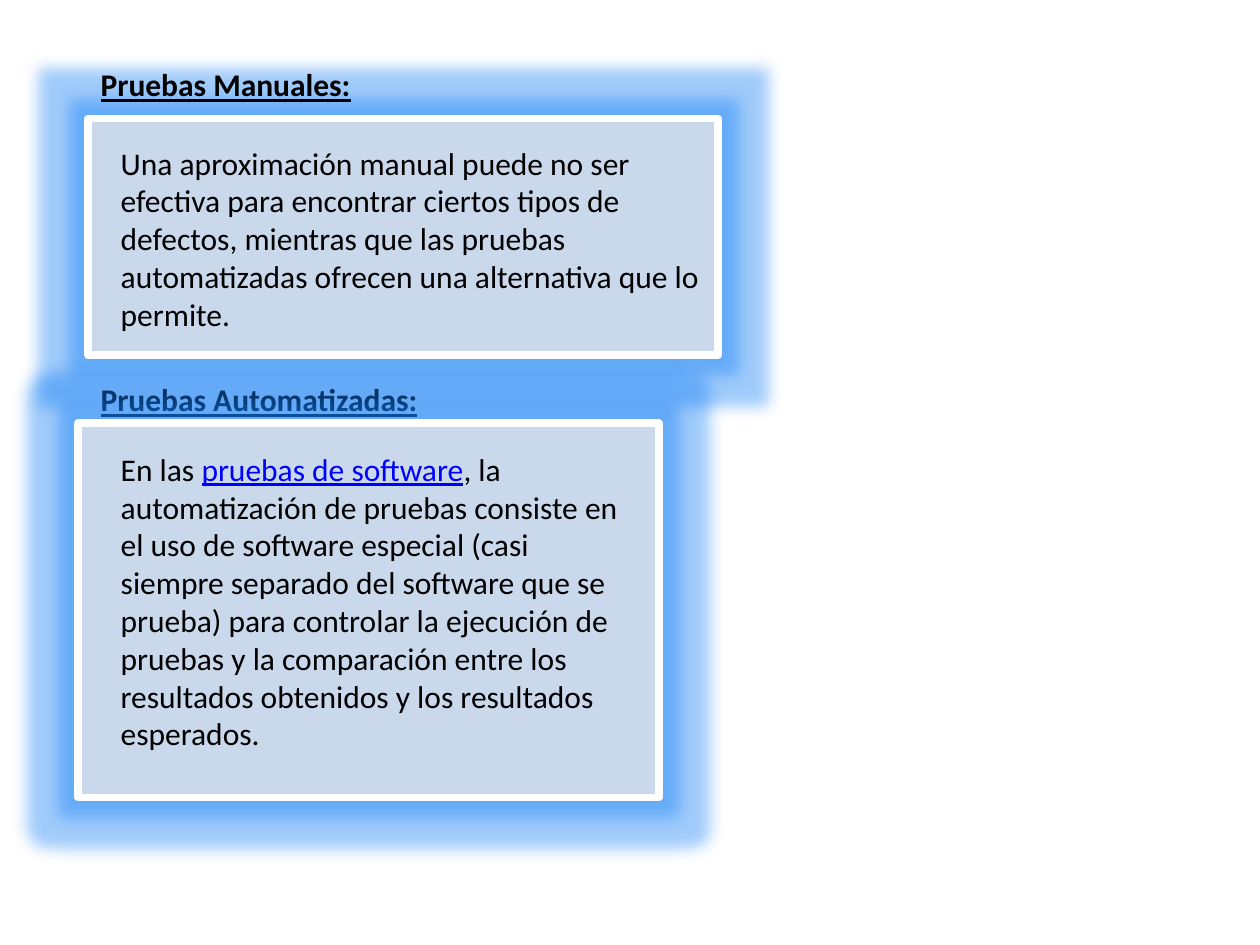
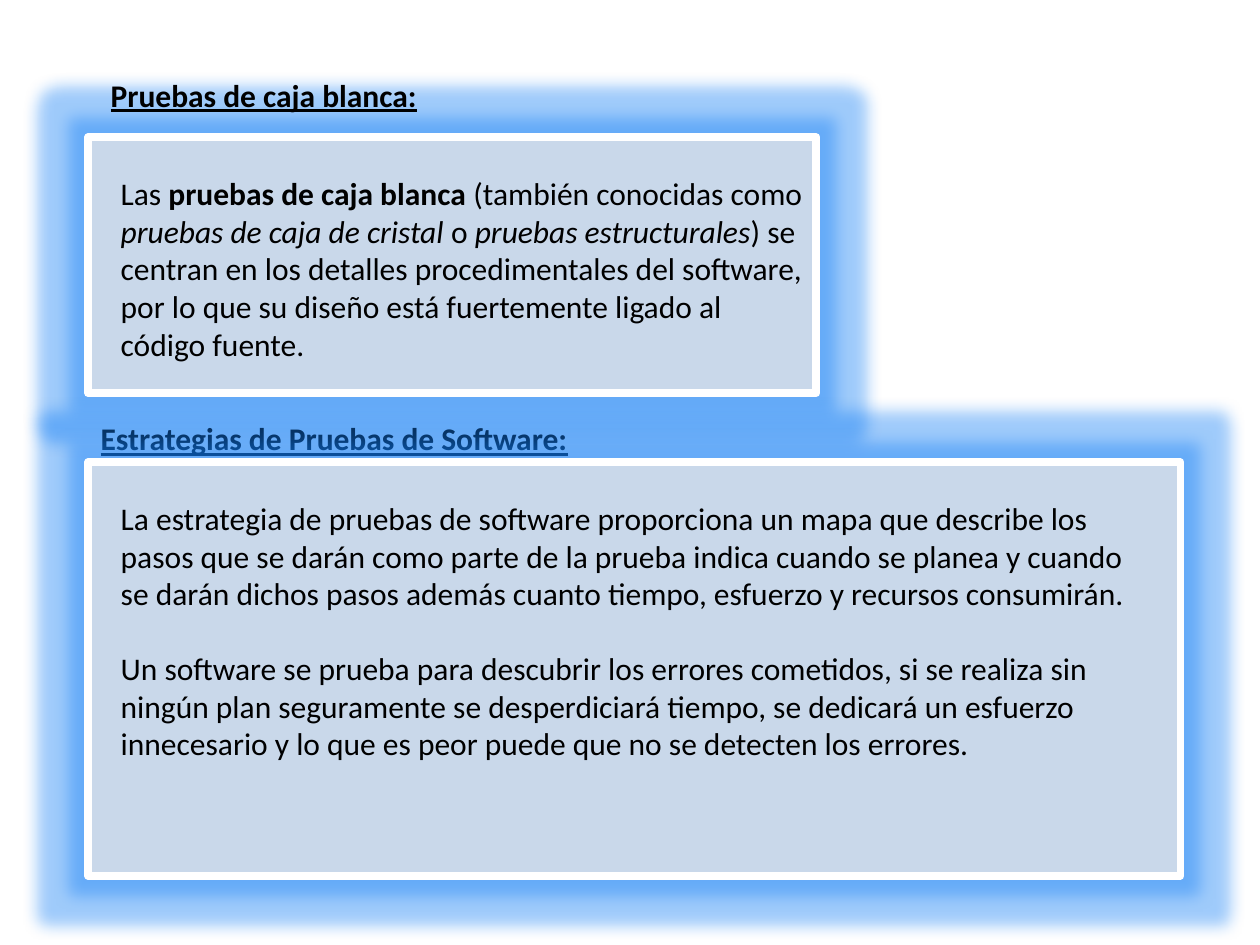
from dataclasses import dataclass

from lxml import etree
from pptx import Presentation
from pptx import util as u
from pptx.dml.color import RGBColor
from pptx.enum import shapes, text
from pptx.oxml import ns

FONT = "Calibri"
INK = "000000"
LINK = "0000FF"
PANEL = "C9D8EA"
BORDER = "FFFFFF"
GLOW = "117DF5"
GLOW_RADIUS = u.Inches(0.25)
GLOW_ALPHA = 40000


@dataclass(frozen=True)
class Area:
    left: float
    top: float
    width: float
    height: float

    def lengths(self) -> list[u.Length]:
        return [u.Inches(n) for n in (self.left, self.top, self.width, self.height)]


@dataclass(frozen=True)
class Span:
    words: str
    bold: bool = False
    italic: bool = False
    underline: bool = False
    color: str = INK


@dataclass(frozen=True)
class Label:
    area: Area
    spans: tuple[Span, ...]


@dataclass(frozen=True)
class Panel:
    area: Area


def heading(area: Area, words: str) -> Label:
    return Label(area, (Span(words, bold=True, underline=True),))


def body(area: Area, *spans: Span) -> Label:
    return Label(area, spans)


PAGES: list[list[Panel | Label]] = [
    [
        Panel(Area(0.7, 0.94, 5, 1.88)),
        heading(Area(0.7, 0.47, 4.45, 0.4), "Pruebas Manuales:"),
        body(
            Area(0.86, 1.09, 4.92, 1.62),
            Span(
                "Una aproximación manual puede no ser efectiva para encontrar ciertos "
                "tipos de defectos, mientras que las pruebas automatizadas ofrecen una "
                "alternativa que lo permite."
            ),
        ),
        heading(Area(0.7, 2.97, 3.13, 0.4), "Pruebas Automatizadas:"),
        Panel(Area(0.62, 3.36, 4.61, 2.97)),
        body(
            Area(0.86, 3.52, 4.3, 2.52),
            Span("En las "),
            Span("pruebas de software", underline=True, color=LINK),
            Span(
                ", la automatización de pruebas consiste en el uso de software especial "
                "(casi siempre separado del software que se prueba) para controlar la "
                "ejecución de pruebas y la comparación entre los resultados obtenidos y "
                "los resultados esperados."
            ),
        ),
    ],
    [
        Panel(Area(0.7, 1.09, 5.78, 2.03)),
        heading(Area(0.78, 0.55, 2.66, 0.71), "Pruebas de caja blanca:"),
        body(
            Area(0.86, 1.33, 5.63, 1.92),
            Span("Las "),
            Span("pruebas de caja blanca", bold=True),
            Span(" (también conocidas como "),
            Span("pruebas de caja de cristal", italic=True),
            Span(" o "),
            Span("pruebas estructurales", italic=True),
            Span(
                ") se centran en los detalles procedimentales del software, por lo que "
                "su diseño está fuertemente ligado al código fuente."
            ),
        ),
        heading(Area(0.7, 3.28, 5.78, 0.4), "Estrategias de Pruebas de Software:"),
        Panel(Area(0.7, 3.67, 8.67, 3.28)),
        body(
            Area(0.86, 3.91, 8.31, 1.62),
            Span(
                "La estrategia de pruebas de software proporciona un mapa que describe "
                "los pasos que se darán como parte de la prueba indica cuando se planea "
                "y cuando se darán dichos pasos además cuanto tiempo, esfuerzo y "
                "recursos consumirán."
            ),
        ),
        body(
            Area(0.86, 5.1, 7.95, 1.31),
            Span(
                "Un software se prueba para descubrir los errores cometidos, si se "
                "realiza sin ningún plan seguramente se desperdiciará tiempo, se "
                "dedicará un esfuerzo innecesario y lo que es peor puede que no se "
                "detecten los errores."
            ),
        ),
    ],
]


def paint(target, color: str) -> None:
    target.rgb = RGBColor.from_string(color)


def add_glow(shape) -> None:
    shape.shadow.inherit = False
    effects = shape._element.spPr.find(ns.qn("a:effectLst"))
    glow = etree.SubElement(effects, ns.qn("a:glow"), rad=str(GLOW_RADIUS))
    color = etree.SubElement(glow, ns.qn("a:srgbClr"), val=GLOW)
    etree.SubElement(color, ns.qn("a:alpha"), val=str(GLOW_ALPHA))


def draw_panel(page, panel: Panel) -> None:
    shape = page.shapes.add_shape(shapes.MSO_SHAPE.RECTANGLE, *panel.area.lengths())
    shape.fill.solid()
    paint(shape.fill.fore_color, PANEL)
    shape.line.fill.solid()
    paint(shape.line.color, BORDER)
    shape.line.width = u.Pt(4.5)
    add_glow(shape)


def draw_label(page, label: Label) -> None:
    box = page.shapes.add_textbox(*label.area.lengths())
    frame = box.text_frame
    frame.word_wrap = True
    frame.auto_size = text.MSO_AUTO_SIZE.NONE
    para = frame.paragraphs[0]
    para.font.name = FONT
    para.font.size = u.Pt(18)
    for span in label.spans:
        run = para.add_run()
        run.text = span.words
        run.font.bold = span.bold
        run.font.italic = span.italic
        run.font.underline = span.underline
        paint(run.font.color, span.color)


def main() -> None:
    deck = Presentation()
    deck.slide_width = u.Inches(10)
    deck.slide_height = u.Inches(7.5)
    for items in PAGES:
        page = deck.slides.add_slide(deck.slide_layouts[6])
        for item in items:
            if isinstance(item, Panel):
                draw_panel(page, item)
            else:
                draw_label(page, item)
    deck.save("out.pptx")


if __name__ == "__main__":
    main()
